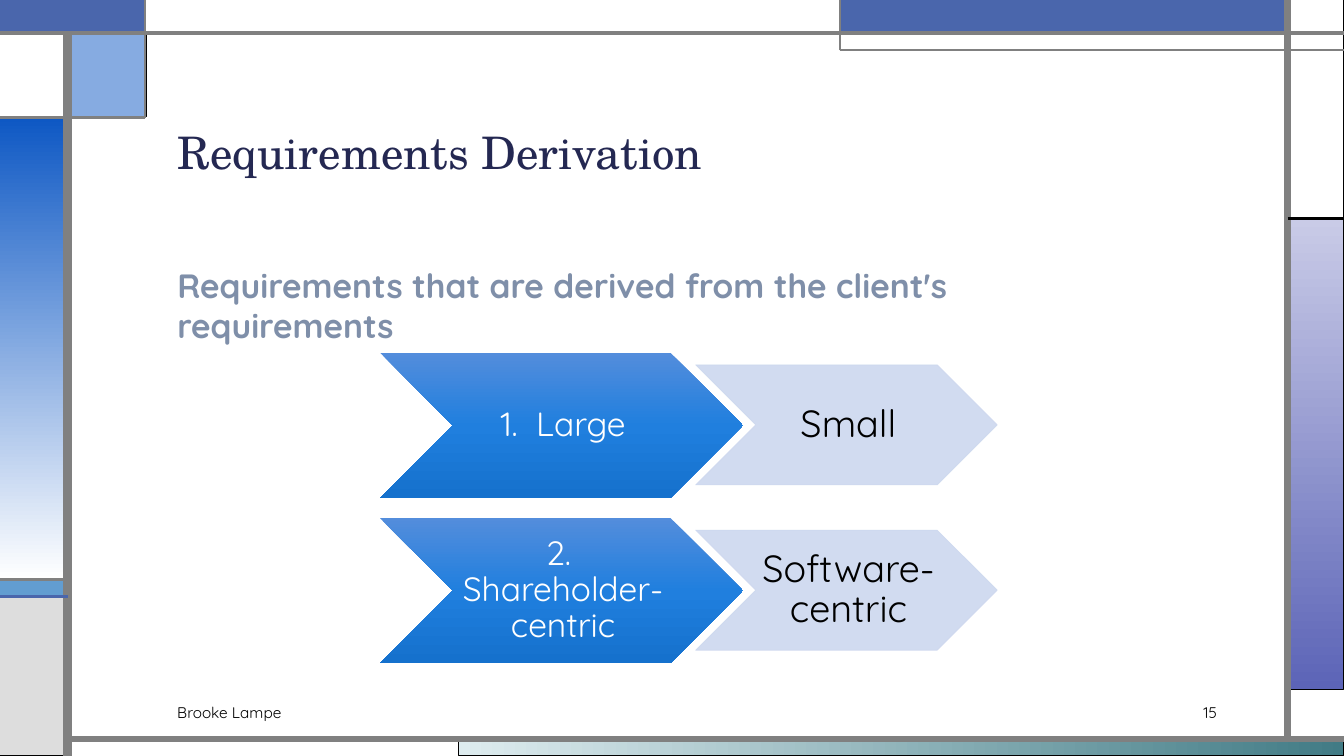
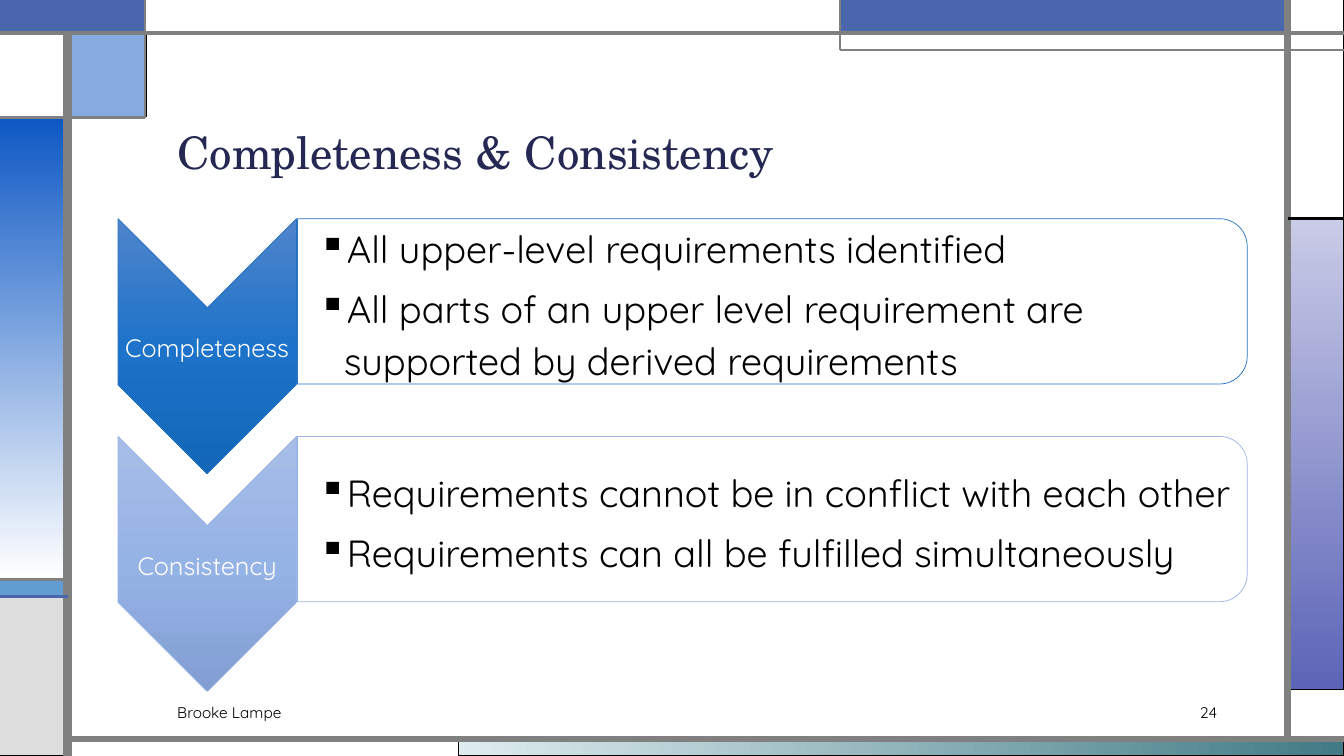
from copy import deepcopy

from lxml import etree
from pptx import Presentation
from pptx import util as u
from pptx.dml.color import RGBColor
from pptx.enum import shapes, text
from pptx.oxml.ns import qn

WHITE = RGBColor(0xFF, 0xFF, 0xFF)
BLACK = RGBColor(0x00, 0x00, 0x00)
GRAY = RGBColor(0x80, 0x80, 0x80)
SILVER = RGBColor(0xDD, 0xDD, 0xDD)
NAVY = RGBColor(0x24, 0x28, 0x52)
SLATE = RGBColor(0x7F, 0x8F, 0xA9)
INDIGO = RGBColor(0x4A, 0x66, 0xAC)
SKY = RGBColor(0x62, 0x9D, 0xD1)
AZURE = RGBColor(0x29, 0x7F, 0xD5)
COBALT = RGBColor(0x0E, 0x58, 0xC4)
PALE = RGBColor(0xCD, 0xD8, 0xEF)
STRONG_EDGE = RGBColor(0x25, 0x73, 0xC1)
SOFT_EDGE = RGBColor(0x9A, 0xB4, 0xE3)
TEAL_BAND = (RGBColor(0xDE, 0xEC, 0xEF), RGBColor(0x41, 0x7B, 0x85))
VIOLET_BAND = (RGBColor(0xC9, 0xCB, 0xE7), RGBColor(0x5C, 0x64, 0xB7))
BLUE_BAND = (COBALT, WHITE)
BRIGHT = (RGBColor(0x53, 0x8D, 0xDC), RGBColor(0x20, 0x7F, 0xDE), RGBColor(0x15, 0x71, 0xCD))
STRONG = (RGBColor(0x50, 0x84, 0xCB), RGBColor(0x1D, 0x73, 0xC9), RGBColor(0x13, 0x66, 0xBA))
SOFT = (RGBColor(0xA7, 0xBD, 0xE7), RGBColor(0x96, 0xB3, 0xE6), RGBColor(0x81, 0x9D, 0xD1))

TITLE_FONT = "TeX Gyre Schola"
BODY_FONT = "Quicksand"
WIDTH, HEIGHT = 13.33, 7.5
TOP, BOTTOM = 0.33, 7.33
LEFT, RIGHT = 0.67, 12.77
MARGIN = 1.66
RECTANGLE = shapes.MSO_SHAPE.RECTANGLE
CHEVRON = shapes.MSO_SHAPE.CHEVRON
ROUNDED = shapes.MSO_SHAPE.ROUND_2_SAME_RECTANGLE
CENTER = text.PP_ALIGN.CENTER
MIDDLE = text.MSO_ANCHOR.MIDDLE

BANDS = [
    (4.55, BOTTOM, 8.78, 0.17, TEAL_BAND, BLACK, 0.75, 0),
    (RIGHT, 2.17, 0.56, 4.67, VIOLET_BAND, BLACK, 0.75, 90),
    (0, 5.75, LEFT, 0.17, SKY, BLACK, 0.75, 0),
    (0, 5.92, LEFT, 1.58, SILVER, BLACK, 0.75, 0),
    (RIGHT, 0, 0.56, 2.17, WHITE, BLACK, 0.75, 0),
    (8.33, 0, 4.44, TOP, INDIGO, AZURE, 0.75, 0),
    (LEFT, TOP, 0.78, 0.83, COBALT, BLACK, 0.75, 0),
    (0, 1.17, LEFT, 4.58, BLUE_BAND, BLACK, 0.75, 90),
    (0, TOP, LEFT, 0.83, WHITE, BLACK, 0.75, 0),
    (0, 0, 1.44, TOP, INDIGO, INDIGO, 1.5, 0),
    (1.44, 0, 6.89, TOP, WHITE, GRAY, 0.75, 0),
]
RULES = [
    (LEFT, HEIGHT, LEFT, TOP, GRAY, 6),
    (LEFT, BOTTOM, WIDTH, BOTTOM, GRAY, 4.5),
    (RIGHT, BOTTOM, RIGHT, 0, GRAY, 4.5),
    (0, TOP, WIDTH, TOP, GRAY, 3),
    (WIDTH, 0.5, 8.33, 0.5, GRAY, 1.5),
    (8.33, 0.5, 8.33, 0, GRAY, 1.5),
    (RIGHT, 2.17, WIDTH, 2.17, BLACK, 2.25),
    (1.44, 0, 1.44, 1.17, GRAY, 1.5),
    (1.44, 1.17, 0, 1.17, GRAY, 2.25),
    (LEFT, 5.75, 0, 5.75, GRAY, 2.25),
    (LEFT, 5.92, 0, 5.92, INDIGO, 2.25),
]


class Deck:
    def __init__(self):
        self.deck = Presentation()
        self.deck.slide_width = u.Inches(WIDTH)
        self.deck.slide_height = u.Inches(HEIGHT)
        self.layout = self.deck.slide_layouts.get_by_name("Title Only")
        self.framed = False
        self.page = None

    def add_page(self, title, number):
        self.page = self.deck.slides.add_slide(self.layout)
        if not self.framed:
            self.frame()
        box = self.page.shapes.title
        box.left, box.top = u.Inches(MARGIN), u.Inches(0.58)
        box.width, box.height = u.Inches(10.5), u.Inches(1.25)
        self.fill_text(box, [title], 32, NAVY, font=TITLE_FONT, anchor=text.MSO_ANCHOR.BOTTOM, spacing=0.9)
        self.label(["Brooke Lampe"], (MARGIN, 6.92, 7.5, 0.3), 11, BLACK, anchor=MIDDLE)
        self.label([number], (11.09, 6.92, 1.08, 0.3), 11, BLACK, anchor=MIDDLE, align=text.PP_ALIGN.RIGHT)

    def frame(self):
        title, *others = self.layout.placeholders
        tree = title.element.getparent()
        for holder in others:
            tree.remove(holder.element)
        for *place, fill, edge, weight, angle in BANDS:
            alpha = 50 if fill == COBALT else 100
            tree.append(self.shape(RECTANGLE, place, fill, edge, weight, angle, alpha).element)
        for rule in RULES:
            tree.append(self.rule(*rule).element)
        self.framed = True

    def shape(self, kind, place, fill, edge=None, weight=0.5, angle=90, alpha=100, turn=0):
        shape = self.page.shapes.add_shape(kind, *map(u.Inches, place))
        shape.shadow.inherit = False
        shape.rotation = turn
        if isinstance(fill, RGBColor):
            shape.fill.solid()
            shape.fill.fore_color.rgb = fill
            self.fade(shape.element.spPr, alpha)
        else:
            self.blend(shape, fill, angle)
        if edge is None:
            shape.line.fill.background()
        else:
            shape.line.color.rgb = edge
            shape.line.width = u.Pt(weight)
        return shape

    def blend(self, shape, colors, angle):
        shape.fill.gradient()
        shape.fill.gradient_angle = -angle % 360
        gradient = shape.element.spPr.find(qn("a:gradFill"))
        gradient.set("rotWithShape", "0" if shape.rotation else "1")
        stops = gradient.find(qn("a:gsLst"))
        for _ in colors[2:]:
            stops.append(deepcopy(stops[0]))
        for index, (stop, color) in enumerate(zip(shape.fill.gradient_stops, colors)):
            stop.position = index / (len(colors) - 1)
            stop.color.rgb = color

    def fade(self, holder, alpha):
        if alpha < 100:
            color = holder.find(qn("a:solidFill"))[0]
            etree.SubElement(color, qn("a:alpha")).set("val", str(alpha * 1000))

    def rule(self, x1, y1, x2, y2, color, weight):
        line = self.page.shapes.add_connector(
            shapes.MSO_CONNECTOR.STRAIGHT, *map(u.Inches, (x1, y1, x2, y2)))
        line.line.color.rgb = color
        line.line.width = u.Pt(weight)
        etree.SubElement(line.element.spPr, qn("a:effectLst"))
        return line

    def label(self, lines, place, size, color, **style):
        box = self.page.shapes.add_textbox(*map(u.Inches, place))
        self.fill_text(box, lines, size, color, **style)

    def fill_text(self, box, lines, size, color, font=BODY_FONT, bold=False, align=text.PP_ALIGN.LEFT,
                  anchor=text.MSO_ANCHOR.TOP, spacing=1.0, after=0, insets=(0.1, 0.05, 0.1, 0.05),
                  bullet=None):
        frame = box.text_frame
        frame.word_wrap = True
        frame.auto_size = text.MSO_AUTO_SIZE.NONE
        frame.vertical_anchor = anchor
        frame.margin_left, frame.margin_top, frame.margin_right, frame.margin_bottom = map(u.Inches, insets)
        for index, line in enumerate(lines):
            para = frame.add_paragraph() if index else frame.paragraphs[0]
            para.alignment = align
            para.line_spacing = spacing
            para.space_after = u.Pt(after)
            if bullet:
                self.mark(para, bullet)
            span = para.add_run()
            span.text = line
            span.font.name = font
            span.font.size = u.Pt(size)
            span.font.bold = bold
            span.font.color.rgb = color

    def mark(self, para, bullet):
        properties = para._p.get_or_add_pPr()
        properties.set("marL", str(u.Inches(0.25)))
        properties.set("indent", str(-u.Inches(0.25)))
        etree.SubElement(properties, qn("a:buChar")).set("char", bullet)

    def comparison(self, top, source, derived):
        style = dict(align=CENTER, anchor=MIDDLE, spacing=0.9)
        large = self.shape(CHEVRON, (3.77, top, 3.6, 1.44), BRIGHT)
        self.fill_text(large, [source], 24, WHITE, insets=(0.03, 0.02, 0, 0.02), **style)
        small = self.shape(CHEVRON, (6.9, top + 0.12, 2.99, 1.19), PALE, PALE, alpha=90)
        self.fade(small.element.spPr.find(qn("a:ln")), 90)
        self.fill_text(small, [derived], 27, BLACK, insets=(0.04, 0.02, 0, 0.02), **style)

    def quality(self, top, name, points, fill, edge):
        style = dict(anchor=MIDDLE, spacing=1.14, after=6)
        self.shape(CHEVRON, (0.79, top + 0.38, 2.53, 1.77), fill, edge, turn=90)
        self.label([name], (1.17, top + 0.88, 1.77, 0.76), 18, WHITE, align=CENTER,
                   insets=(0.01, 0.01, 0.01, 0.01), **style)
        self.shape(ROUNDED, (6.84, top - 3.89, 1.64, 9.42), WHITE, edge, alpha=90, turn=90)
        self.label(points, (2.95, top + 0.08, 9.34, 1.48), 27, BLACK,
                   insets=(0.21, 0.02, 0.02, 0.02), bullet="▪", **style)

    def save(self):
        self.deck.save("out.pptx")


def main():
    deck = Deck()

    deck.add_page("Requirements Derivation", "15")
    deck.comparison(3.5, "1.  Large", "Small")
    deck.comparison(5.14, "2.  Shareholder-centric", "Software-centric")
    deck.label(["Requirements that are derived from the client's requirements"],
               (MARGIN, 2.58, 10.01, 0.5), 24, SLATE, bold=True)

    deck.add_page("Completeness & Consistency", "24")
    deck.quality(2.17, "Completeness", [
        "All upper-level requirements identified",
        "All parts of an upper level requirement are supported by derived requirements",
    ], STRONG, STRONG_EDGE)
    deck.quality(4.33, "Consistency", [
        "Requirements cannot be in conflict with each other",
        "Requirements can all be fulfilled simultaneously",
    ], SOFT, SOFT_EDGE)

    deck.save()


if __name__ == "__main__":
    main()
